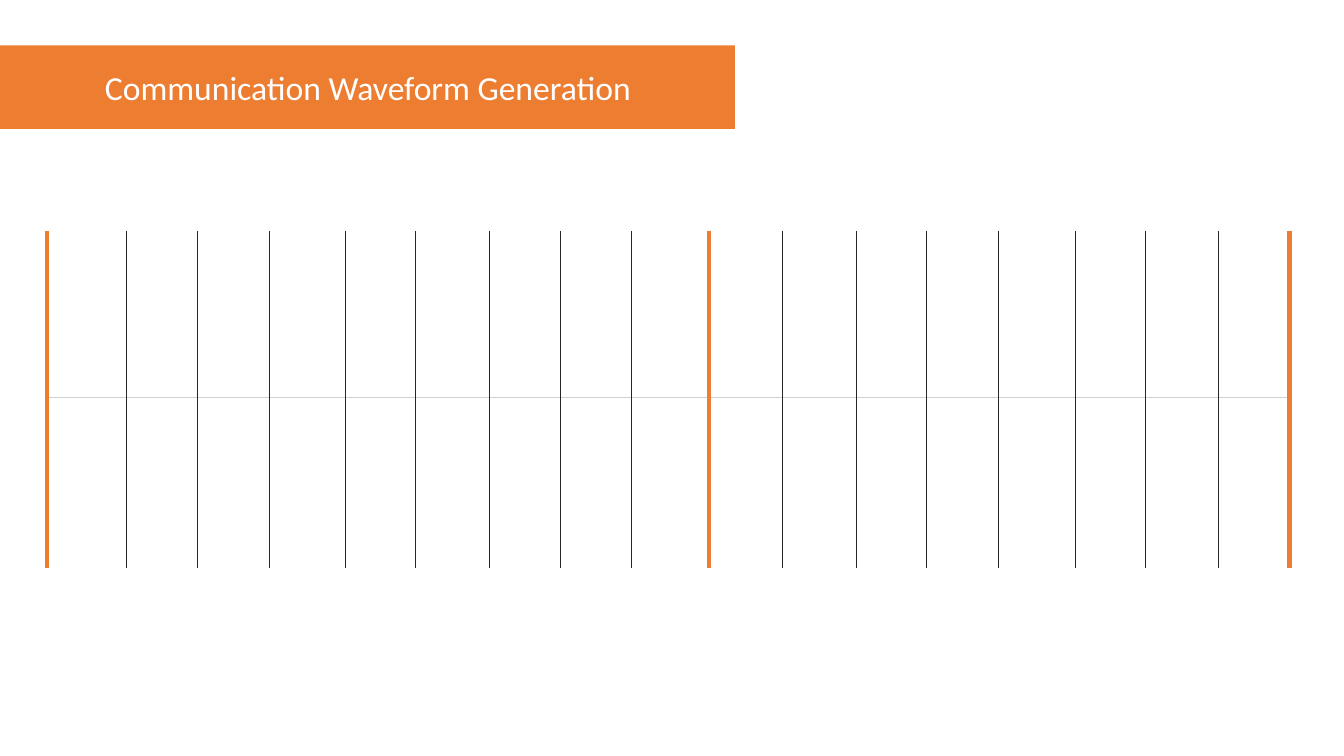
"""Build the communication waveform grid slide."""
from pptx import Presentation
from pptx.dml.color import RGBColor as Color
from pptx.enum.shapes import MSO_CONNECTOR as Link
from pptx.enum.text import MSO_ANCHOR as Anchor, MSO_AUTO_SIZE as Fit, PP_ALIGN as Align
from pptx.oxml import parse_xml
from pptx.util import Pt
from lxml.etree import SubElement
from pptx.oxml.ns import nsdecls, qn

ORANGE = Color(0xED, 0x7D, 0x31)
BLACK = Color(0x26, 0x26, 0x26)
GRAY = Color(0xD0, 0xCE, 0xCE)
WHITE = Color(0xFF, 0xFF, 0xFF)
SCALE = 9144
WIDTH, HEIGHT = 1333, 750
TOP, MID, BASE = 229, 394, 564
MARKS = [47, 125, 196, 267, 343, 412, 485, 556, 626, 703,
         776, 849, 919, 990, 1067, 1136, 1208, 1279]
BARS = {47, 703, 1279}


def px(size):
    return size * SCALE


def apply(item, **style):
    for name, value in style.items():
        setattr(item, name, value)


class Deck:
    font = {"name": "Calibri", "size": Pt(24)}

    def __init__(self):
        self.show = Presentation()
        apply(self.show, slide_width=px(WIDTH), slide_height=px(HEIGHT))
        self.slide = self.show.slides.add_slide(self.show.slide_layouts[5])

    def title(self, text, left, top, width, height, inset):
        box = self.slide.shapes.title
        apply(box, left=px(left), top=px(top), width=px(width), height=px(height))
        box.element.spPr.append(parse_xml(
            f'<a:prstGeom {nsdecls("a")} prst="roundRect"><a:avLst/></a:prstGeom>'))
        box.fill.solid()
        box.fill.fore_color.rgb = ORANGE
        frame = box.text_frame
        apply(frame, text=text, auto_size=Fit.NONE, word_wrap=True,
              vertical_anchor=Anchor.MIDDLE, margin_left=px(inset))
        line = frame.paragraphs[0]
        line.alignment = Align.LEFT
        font = line.runs[0].font
        apply(font, **self.font)
        font.color.rgb = WHITE

    def line(self, start, end, color, weight):
        rule = self.slide.shapes.add_connector(
            Link.STRAIGHT, *map(px, start), *map(px, end))
        rule.line.color.rgb = color
        rule.line.width = Pt(weight)
        SubElement(rule.element.spPr, qn("a:effectLst"))


def main():
    deck = Deck()
    deck.title("Communication Waveform Generation", -18, 45, 747, 83, 122)
    deck.line((MARKS[0], MID), (MARKS[-1], MID), GRAY, 0.5)
    for x in MARKS:
        color, weight = (ORANGE, 3) if x in BARS else (BLACK, 0.5)
        deck.line((x, TOP), (x, BASE), color, weight)
    deck.show.save("out.pptx")


if __name__ == "__main__":
    main()
